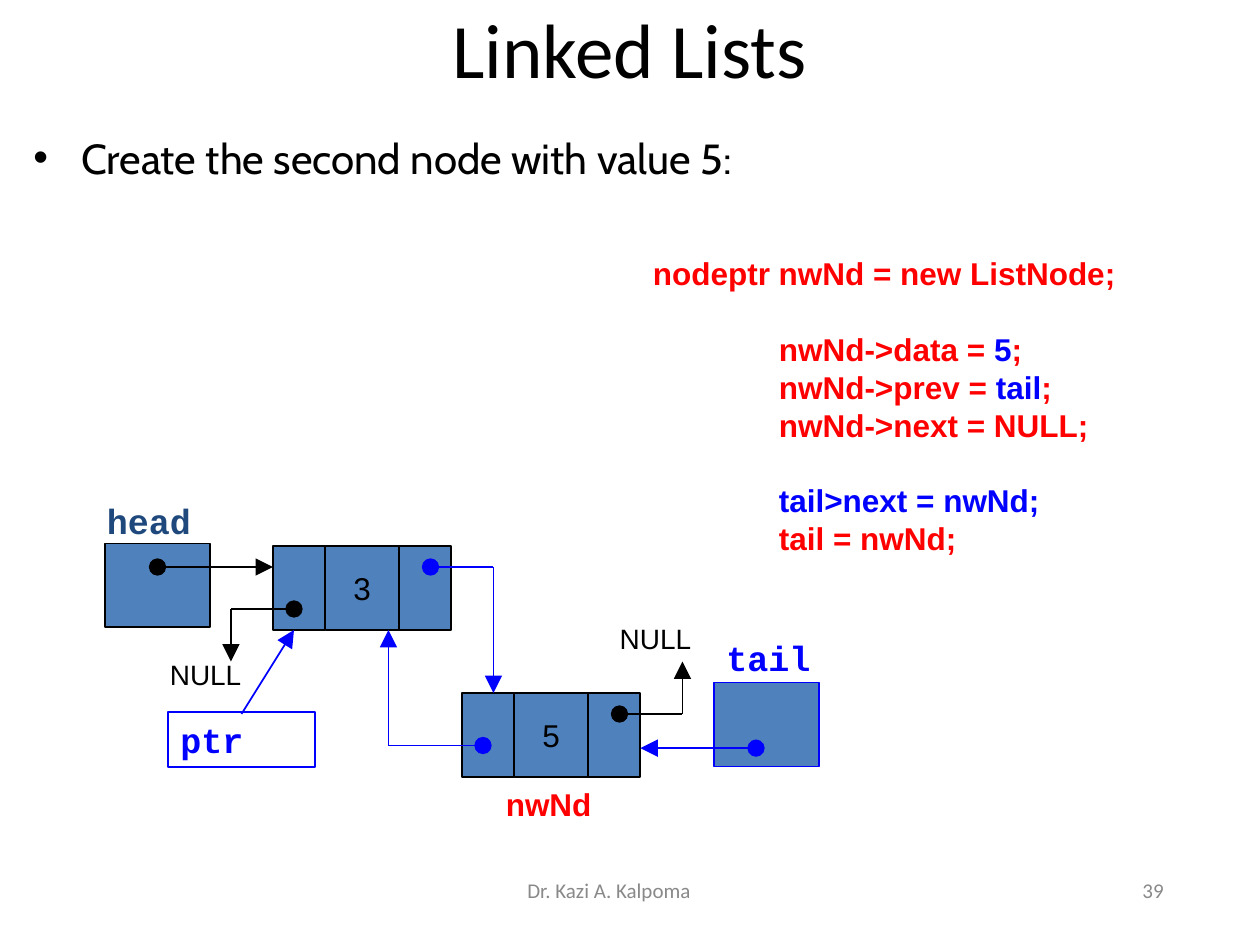
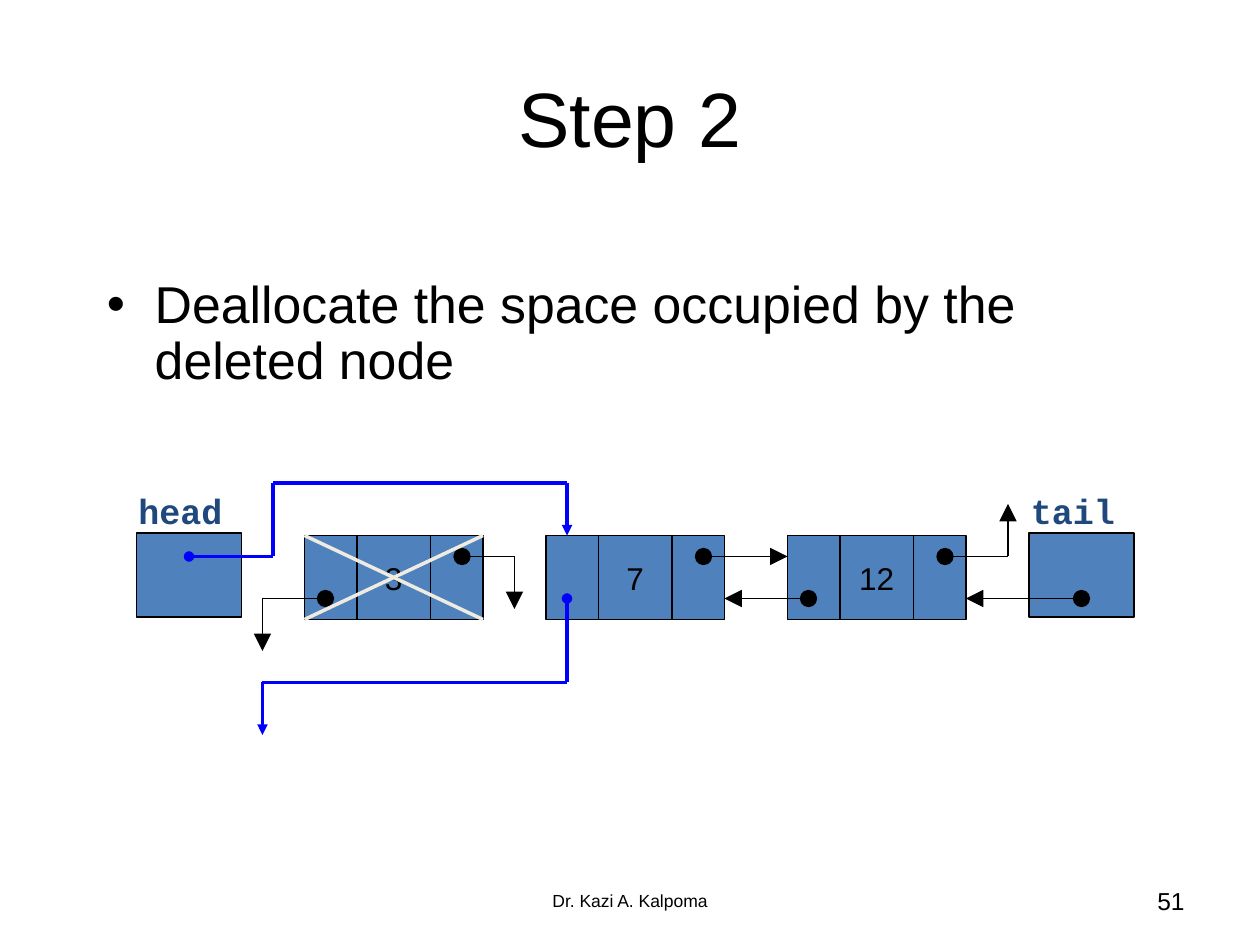
from dataclasses import dataclass
from itertools import pairwise

from lxml.etree import SubElement
from pptx import Presentation
from pptx.dml.color import RGBColor
from pptx.enum.shapes import MSO_CONNECTOR, MSO_SHAPE
from pptx.enum.text import MSO_ANCHOR, PP_ALIGN
from pptx.oxml.ns import qn
from pptx.util import Inches, Pt


@dataclass(frozen=True)
class Theme:
    black: str = "000000"
    blue: str = "0000FF"
    red: str = "FF0000"
    navy: str = "1F497D"
    cell: str = "4F81BD"
    cream: str = "EEECE1"
    grey: str = "898989"
    sans: str = "Arial"
    mono: str = "Courier New"
    heading: str = "Calibri"
    body: str = "Cabin"
    title_size: float = 44
    name_size: float = 20
    code_size: float = 18
    null_size: float = 16
    code_leading: float = 21.6
    thin: float = 1
    thick: float = 2


THEME = Theme()

# The slide is a grid of 120 columns by 90 rows, twelve to the inch
COLUMNS, ROWS = 120, 90
UNIT = Inches(10) // COLUMNS
NODE_PARTS = (5, 7, 5)
NODE_HEIGHT = 8
POINTER_WIDTH = 10


def grid(*lengths):
    return [round(length * UNIT) for length in lengths]


def rgb(colour):
    return RGBColor.from_string(colour)


def apply(target, **formats):
    for key, value in formats.items():
        setattr(target, key, value)


def style(size, face=THEME.sans, colour=THEME.black, bold=False):
    return dict(size=size, face=face, colour=colour, bold=bold)


CODE = style(THEME.code_size, colour=THEME.red, bold=True)
VALUE = style(THEME.code_size)


def add_run(paragraph, words, size, face, colour, bold):
    run = paragraph.add_run()
    run.text = words
    apply(run.font, size=Pt(size), name=face, bold=bold)
    run.font.color.rgb = rgb(colour)


def set_indent(paragraph, left, first=0, bullet=None):
    properties = paragraph._p.get_or_add_pPr()
    properties.set("marL", str(Inches(left)))
    properties.set("indent", str(Inches(first)))
    if bullet:
        SubElement(properties, qn("a:buFont")).set("typeface", THEME.sans)
        SubElement(properties, qn("a:buChar")).set("char", bullet)


def add_text(slide, area, words, look, align=PP_ALIGN.LEFT,
             anchor=MSO_ANCHOR.TOP, indent=0):
    frame = slide.shapes.add_textbox(*grid(*area)).text_frame
    apply(frame, word_wrap=True, vertical_anchor=anchor)
    paragraph = frame.paragraphs[0]
    paragraph.alignment = align
    if indent:
        set_indent(paragraph, indent)
    add_run(paragraph, words, **look)
    return paragraph


def add_title(slide, area, words, face):
    add_text(slide, area, words, style(THEME.title_size, face),
             PP_ALIGN.CENTER, MSO_ANCHOR.MIDDLE)


def add_bullet(slide, area, words, look, spacing=1.0):
    paragraph = add_text(slide, area, words, look)
    paragraph.line_spacing = spacing
    set_indent(paragraph, 0.38, -0.38, "•")


def add_footer(slide, left, top, number, author_look, number_look):
    add_text(slide, (left, top, 38, 4.8), "Dr. Kazi A. Kalpoma", author_look,
             PP_ALIGN.CENTER, MSO_ANCHOR.MIDDLE)
    add_text(slide, (left + 45, top, 28, 4.8), number, number_look,
             PP_ALIGN.RIGHT, MSO_ANCHOR.MIDDLE)


def add_code(slide, area, lines):
    """Each line is (indent, blank line before, parts); a part is (words, colour)."""
    frame = slide.shapes.add_textbox(*grid(*area)).text_frame
    frame.word_wrap = True
    for index, (indent, gap, parts) in enumerate(lines):
        paragraph = frame.add_paragraph() if index else frame.paragraphs[0]
        apply(paragraph, line_spacing=Pt(THEME.code_leading),
              space_before=Pt(THEME.code_leading * gap))
        set_indent(paragraph, indent)
        for words, colour in parts:
            add_run(paragraph, words, **(CODE | {"colour": colour}))


def add_cell(slide, area, value=None, look=VALUE, fill=THEME.cell,
             outline=THEME.black, align=PP_ALIGN.CENTER,
             anchor=MSO_ANCHOR.MIDDLE):
    cell = slide.shapes.add_shape(MSO_SHAPE.RECTANGLE, *grid(*area))
    cell.shadow.inherit = False
    if fill:
        cell.fill.solid()
        cell.fill.fore_color.rgb = rgb(fill)
    else:
        cell.fill.background()
    cell.line.color.rgb = rgb(outline)
    cell.line.width = Pt(THEME.thin)
    if value:
        apply(cell.text_frame, vertical_anchor=anchor, word_wrap=False)
        paragraph = cell.text_frame.paragraphs[0]
        paragraph.alignment = align
        add_run(paragraph, value, **look)


def add_node(slide, left, top, value):
    """A list node: previous pointer, value, next pointer."""
    for width, content in zip(NODE_PARTS, (None, value, None)):
        add_cell(slide, (left, top, width, NODE_HEIGHT), content)
        left += width


def add_pointer_box(slide, left, top, name, name_at, colour=THEME.navy,
                    outline=THEME.black):
    add_cell(slide, (left, top, POINTER_WIDTH, NODE_HEIGHT), outline=outline)
    add_text(slide, (*name_at, 14, 5.25), name,
             style(THEME.name_size, THEME.mono, colour, True))


def add_line(slide, start, end, colour, width, head=None, tail=None):
    line = slide.shapes.add_connector(MSO_CONNECTOR.STRAIGHT,
                                      *grid(*start, *end))
    line.line.color.rgb = rgb(colour)
    line.line.width = Pt(width)
    size = "lg" if width == THEME.thin else "med"
    outline = line.line._get_or_add_ln()
    for tag, kind in (("a:headEnd", head), ("a:tailEnd", tail)):
        if kind:
            end_mark = SubElement(outline, qn(tag))
            for key, value in dict(type=kind, w=size, len=size).items():
                end_mark.set(key, value)
    SubElement(line._element.spPr, qn("a:effectLst"))


def add_link(slide, *corners, colour=THEME.black, width=THEME.thin, dot="oval"):
    """A pointer through its corners, with a dot at the start and an arrow at the end."""
    legs = list(pairwise(corners))
    for index, (start, end) in enumerate(legs):
        add_line(slide, start, end, colour, width,
                 head=None if index else dot,
                 tail="triangle" if index == len(legs) - 1 else None)


def build_second_node(slide):
    # Heading, task and footer
    add_title(slide, (6, 0, 108, 9), "Linked Lists", THEME.heading)
    add_bullet(slide, (2, 12, 104, 25), "Create the second node with value 5:",
               style(24, THEME.body))
    small_print = style(12, THEME.heading, THEME.grey)
    add_footer(slide, 39, 82.4, "39", small_print, small_print)

    # Code that appends the node
    red, blue = THEME.red, THEME.blue
    add_code(slide, (61, 23.64, 57, 33.6), [
        (0, 0, [("nodeptr nwNd = new ListNode;", red)]),
        (1, 1, [("nwNd->data = ", red), ("5", blue), (";", red)]),
        (1, 0, [("nwNd->prev = ", red), ("tail", blue), (";", red)]),
        (1, 0, [("nwNd->next = NULL;", red)]),
        (1, 1, [("tail>next = nwNd;", blue)]),
        (1, 0, [("tail = nwNd;", red)]),
    ])

    # Nodes and the variables that point at them
    add_pointer_box(slide, 10, 51.75, "head", (9, 47))
    add_node(slide, 26, 52, "3")
    add_pointer_box(slide, 68, 65, "tail", (68, 60), blue, blue)
    add_node(slide, 44, 66, "5")
    add_cell(slide, (16, 67.8, 14, 5.25), "ptr",
             style(THEME.name_size, THEME.mono, blue, True), fill=None,
             outline=blue, align=PP_ALIGN.LEFT, anchor=MSO_ANCHOR.TOP)
    add_text(slide, (47, 74.2, 10.6, 4.8), "nwNd", CODE)
    for left, top in ((9, 62), (51.84, 58.6)):
        add_text(slide, (left, top, 16, 4.4), "NULL", style(THEME.null_size),
                 indent=0.5)

    # Links
    add_link(slide, (15, 54), (26, 54))
    add_link(slide, (28, 58), (22, 58), (22, 63))
    add_link(slide, (59, 68), (65, 68), (65, 63))
    add_link(slide, (41, 54), (47, 54), (47, 66), colour=blue)
    add_link(slide, (72, 71.25), (61, 71.25), colour=blue)
    add_link(slide, (46, 71), (37, 71), (37, 60), colour=blue)
    add_link(slide, (23, 68), (28, 60), colour=blue, dot=None)


def build_deallocation(slide):
    # Heading, task and footer
    add_title(slide, (6, 3.6, 108, 15), "Step 2", THEME.sans)
    add_bullet(slide, (9, 26, 102, 14),
               "Deallocate the space occupied by the deleted node",
               style(29.6), spacing=0.9)
    add_footer(slide, 41, 83.4, "51", style(10), style(14))

    # Nodes and the variables that point at them
    first, pitch, top = 29, 23, 51
    for index, value in enumerate(("3", "7", "12")):
        add_node(slide, first + index * pitch, top, value)
    for left, name in ((13, "head"), (98, "tail")):
        add_pointer_box(slide, left, 50.75, name, (left - 1, 46))

    # Links that stay
    next_row, prev_row = top + 2, top + 6
    add_link(slide, (44, next_row), (49, next_row), (49, 58))
    add_link(slide, (67, next_row), (75, next_row))
    add_link(slide, (90, next_row), (96, next_row), (96, 48))
    add_link(slide, (31, prev_row), (25, prev_row), (25, 62))
    add_link(slide, (77, prev_row), (69, prev_row))
    add_link(slide, (103, prev_row), (92, prev_row))

    # Links that now bypass the deleted node
    bypass = dict(colour=THEME.blue, width=THEME.thick)
    add_link(slide, (18, next_row), (26, next_row), (26, 46), (54, 46),
             (54, top), **bypass)
    add_link(slide, (54, prev_row), (54, 65), (25, 65), (25, 70), **bypass)

    # Cross over the deleted node
    right, bottom = first + sum(NODE_PARTS), top + NODE_HEIGHT
    for start, end in (((first, top), (right, bottom)),
                       ((right, top), (first, bottom))):
        add_line(slide, start, end, THEME.cream, THEME.thick)


def main():
    deck = Presentation()
    apply(deck, slide_width=COLUMNS * UNIT, slide_height=ROWS * UNIT)
    for build in (build_second_node, build_deallocation):
        build(deck.slides.add_slide(deck.slide_layouts[6]))
    deck.save("out.pptx")


if __name__ == "__main__":
    main()
